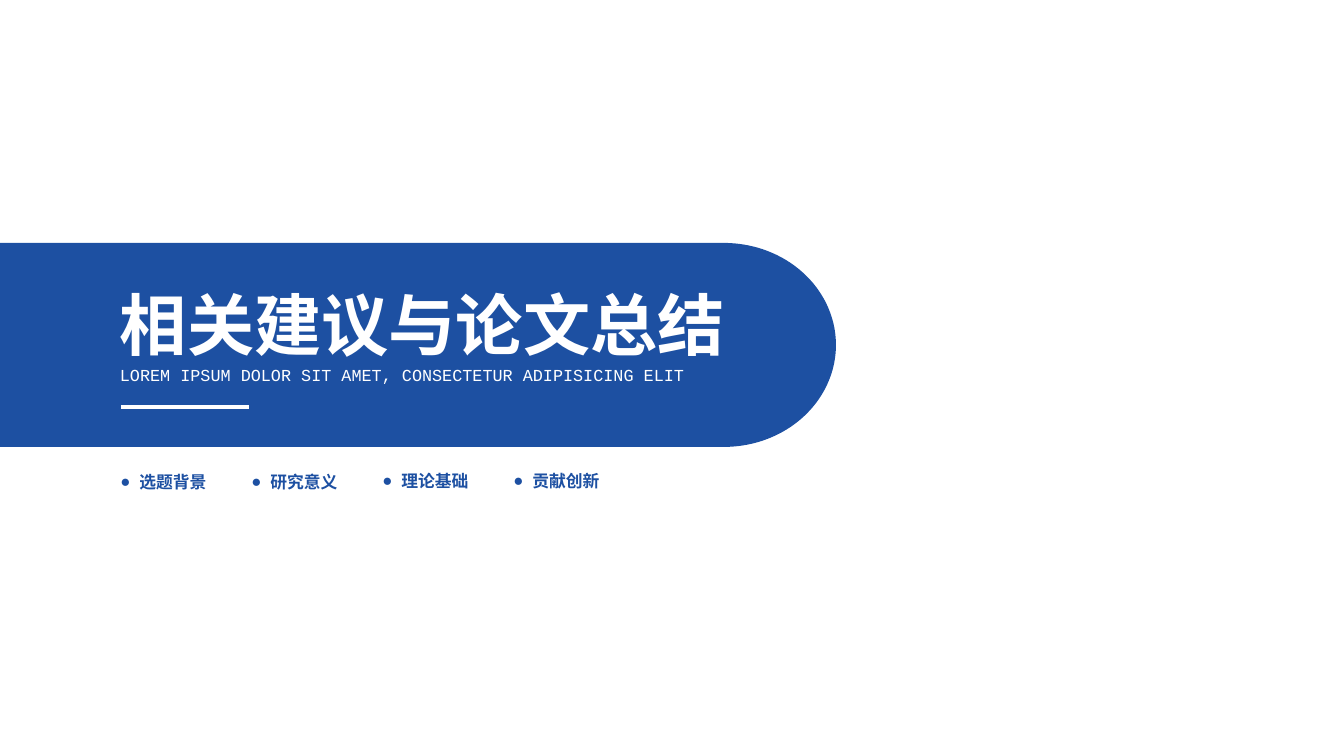
import math

import lxml.etree
import pptx
import pptx.dml.color
import pptx.enum.shapes
import pptx.enum.text
import pptx.oxml.ns
import pptx.util

TITLE = "相关建议与论文总结"
SUBTITLE = "LOREM IPSUM DOLOR SIT AMET, CONSECTETUR ADIPISICING ELIT"
TOPICS = [("选题背景", 467), ("研究意义", 467), ("理论基础", 466), ("贡献创新", 466)]  # text, top
BLUE, WHITE = "1D50A2", "FFFFFF"
CJK_FONT = "Noto Sans CJK SC"

SLIDE_W, SLIDE_H = 1344, 756
BAND_TOP, BAND_H, BAND_STRAIGHT, CAP_RX = 243, 204, 724, 112
TEXT_LEFT, TOPIC_STEP, TOPIC_W = 110, 131, 107
CAP_STEPS = 90
SCALE = 914400 / 100.8


def px(n):
    return pptx.util.Emu(round(n * SCALE))


def rgb(value):
    return pptx.dml.color.RGBColor.from_string(value)


def add_xml(parent, tag, **attrs):
    return lxml.etree.SubElement(parent, pptx.oxml.ns.qn(tag), attrs)


def add_band(s):
    """Draw the band that ends in half an ellipse on the right."""
    ry = BAND_H / 2
    cap = []
    for i in range(CAP_STEPS + 1):
        angle = math.pi * (i / CAP_STEPS - 0.5)
        cap.append((BAND_STRAIGHT + CAP_RX * math.cos(angle),
                    BAND_TOP + ry + ry * math.sin(angle)))
    builder = s.shapes.build_freeform(0, px(BAND_TOP), scale=1.0)
    points = cap + [(0, BAND_TOP + BAND_H)]
    builder.add_line_segments([(px(x), px(y)) for x, y in points], close=True)
    sp = builder.convert_to_shape()
    sp.shadow.inherit = False
    sp.fill.solid()
    sp.fill.fore_color.rgb = rgb(BLUE)
    sp.line.fill.background()


def add_text(s, box, text, size, color, font, bold=False, wrap=True):
    sp = s.shapes.add_textbox(*map(px, box))
    tf = sp.text_frame
    tf.word_wrap = wrap
    p = tf.paragraphs[0]
    r = p.add_run()
    r.text = text
    r.font.size = pptx.util.Pt(size)
    r.font.bold = bold
    r.font.color.rgb = rgb(color)
    r.font.name = font
    add_xml(r.font._element, "a:ea", typeface=CJK_FONT)
    return tf


def add_bullet(p):
    indent = px(19)
    pPr = p._p.get_or_add_pPr()
    pPr.set("marL", str(indent))
    pPr.set("indent", str(-indent))
    add_xml(pPr, "a:buFont", typeface="Arial")
    add_xml(pPr, "a:buChar", char="●")


def add_rule(s):
    line = s.shapes.add_connector(pptx.enum.shapes.MSO_CONNECTOR.STRAIGHT,
                                  px(121), px(407), px(249), px(407))
    line.line.color.rgb = rgb(WHITE)
    line.line.width = pptx.util.Pt(2.25)
    add_xml(line._element.spPr, "a:effectLst")


def main():
    prs = pptx.Presentation()
    prs.slide_width, prs.slide_height = px(SLIDE_W), px(SLIDE_H)
    s = prs.slides.add_slide(prs.slide_layouts[6])

    add_band(s)
    tf = add_text(s, (TEXT_LEFT, 284, 661, 79), TITLE, 48, WHITE, CJK_FONT, bold=True)
    tf.vertical_anchor = pptx.enum.text.MSO_ANCHOR.MIDDLE
    add_text(s, (TEXT_LEFT, 360, 601, 30), SUBTITLE, 12, WHITE, "Courier New")
    add_rule(s)

    for i, (topic, top) in enumerate(TOPICS):
        box = (TEXT_LEFT + i * TOPIC_STEP, top, TOPIC_W, 30)
        tf = add_text(s, box, topic, 12, BLUE, "Arial", bold=True, wrap=False)
        p = tf.paragraphs[0]
        p.alignment = pptx.enum.text.PP_ALIGN.CENTER
        add_bullet(p)

    prs.save("out.pptx")


if __name__ == "__main__":
    main()
